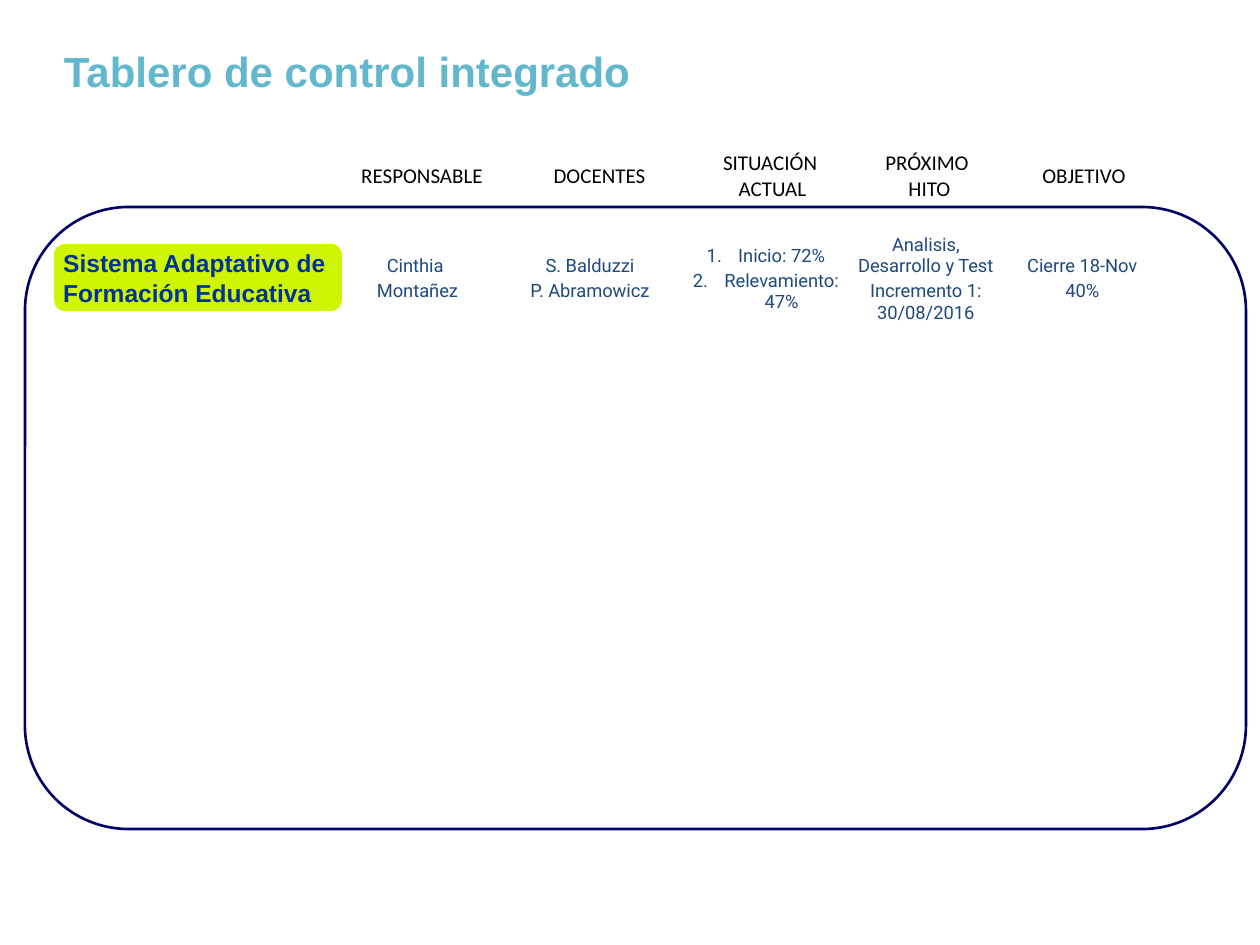
"""Build the integrated control board slide."""
import pptx
import pptx.util
import pptx.dml.color
import pptx.enum.shapes
import pptx.enum.text
import pptx.oxml

PX = 914400 / 126
ALIGN = pptx.enum.text.PP_ALIGN
MIDDLE = pptx.enum.text.MSO_ANCHOR.MIDDLE
ROUND = pptx.enum.shapes.MSO_SHAPE.FLOWCHART_ALTERNATE_PROCESS
NUMBER = '<a:buAutoNum xmlns:a="http://schemas.openxmlformats.org/drawingml/2006/main" type="arabicPeriod"/>'

TITLE = "Tablero de control integrado"
SYSTEM = "Sistema Adaptativo de Formación Educativa"
HEADS = ["RESPONSABLE", "DOCENTES", "SITUACIÓN \nACTUAL", "PRÓXIMO \nHITO", "OBJETIVO"]
FACTS = [
    "Cinthia \nMontañez",
    "S. Balduzzi\nP. Abramowicz",
    "Inicio: 72%\nRelevamiento: 47%",
    "Analisis, Desarrollo y Test\nIncremento 1: 30/08/2016",
    "Cierre 18-Nov\n40%",
]
LISTED = 2
TABLES = [
    dict(texts=FACTS, top=228, high=102, wides=[169, 176, 176, 144, 169],
         font=("Roboto", 10.5, "1F497D"), inset=(0, 5), gap=2.1, listed=LISTED),
    dict(texts=HEADS, top=145, high=63, wides=[178, 177, 169, 145, 164],
         font=("Calibri", 12, "000000"), inset=(12, 6), gap=0, listed=None),
]


def px(num):
    return pptx.util.Emu(round(num * PX))


def color(code):
    return pptx.dml.color.RGBColor.from_string(code)


def write(box, text, font, inset, bold=False, align=ALIGN.LEFT, gap=0):
    """Fill a cell or a text frame with styled text."""
    frame = getattr(box, "text_frame", box)
    frame.text = text
    frame.word_wrap = True
    box.vertical_anchor = MIDDLE
    box.margin_left = box.margin_right = px(inset[0])
    box.margin_top = box.margin_bottom = px(inset[1])
    name, size, code = font
    for para in frame.paragraphs:
        para.alignment = align
        para.space_before = pptx.util.Pt(gap)
        for run in para.runs:
            run.font.name = name
            run.font.size = pptx.util.Pt(size)
            run.font.bold = bold
            run.font.color.rgb = color(code)


def number(cell):
    """Number the paragraphs of a cell."""
    for para in cell.text_frame.paragraphs:
        props = para._p.get_or_add_pPr()
        props.set("marL", "228600")
        props.set("indent", "-228600")
        props.append(pptx.oxml.parse_xml(NUMBER))


def grid(slide, texts, top, high, wides, font, inset, gap, listed):
    """Add a one-row table."""
    table = slide.shapes.add_table(
        1, len(texts), px(333), px(top), px(sum(wides)), px(high)).table
    table.first_row = table.horz_banding = False
    for col, (text, wide) in enumerate(zip(texts, wides)):
        table.columns[col].width = px(wide)
        cell = table.cell(0, col)
        cell.fill.solid()
        cell.fill.fore_color.rgb = color("FFFFFF")
        write(cell, text, font, inset, align=ALIGN.CENTER, gap=gap)
        if col == listed:
            number(cell)


def panel(slide, *area):
    """Add a rounded shape without fill or line."""
    shape = slide.shapes.add_shape(ROUND, *map(px, area))
    shape.shadow.inherit = False
    shape.fill.background()
    shape.line.fill.background()
    return shape


def main():
    deck = pptx.Presentation()
    deck.slide_width, deck.slide_height = px(1260), px(945)
    slide = deck.slides.add_slide(deck.slide_layouts[6])

    title = slide.shapes.add_textbox(px(52), px(27), px(1134), px(87))
    write(title.text_frame, TITLE, ("Arial", 24, "61B8CD"), (12, 6), bold=True)

    for table in TABLES:
        grid(slide, **table)

    border = panel(slide, 25, 207, 1221, 622)
    border.line.color.rgb = color("000066")
    border.line.width = pptx.util.Pt(1.5)

    badge = panel(slide, 54, 244, 288, 67)
    badge.fill.solid()
    badge.fill.fore_color.rgb = color("D0F500")
    write(badge.text_frame, SYSTEM, ("Arial", 14, "003399"), (6, 5), bold=True)

    deck.save("out.pptx")


if __name__ == "__main__":
    main()
